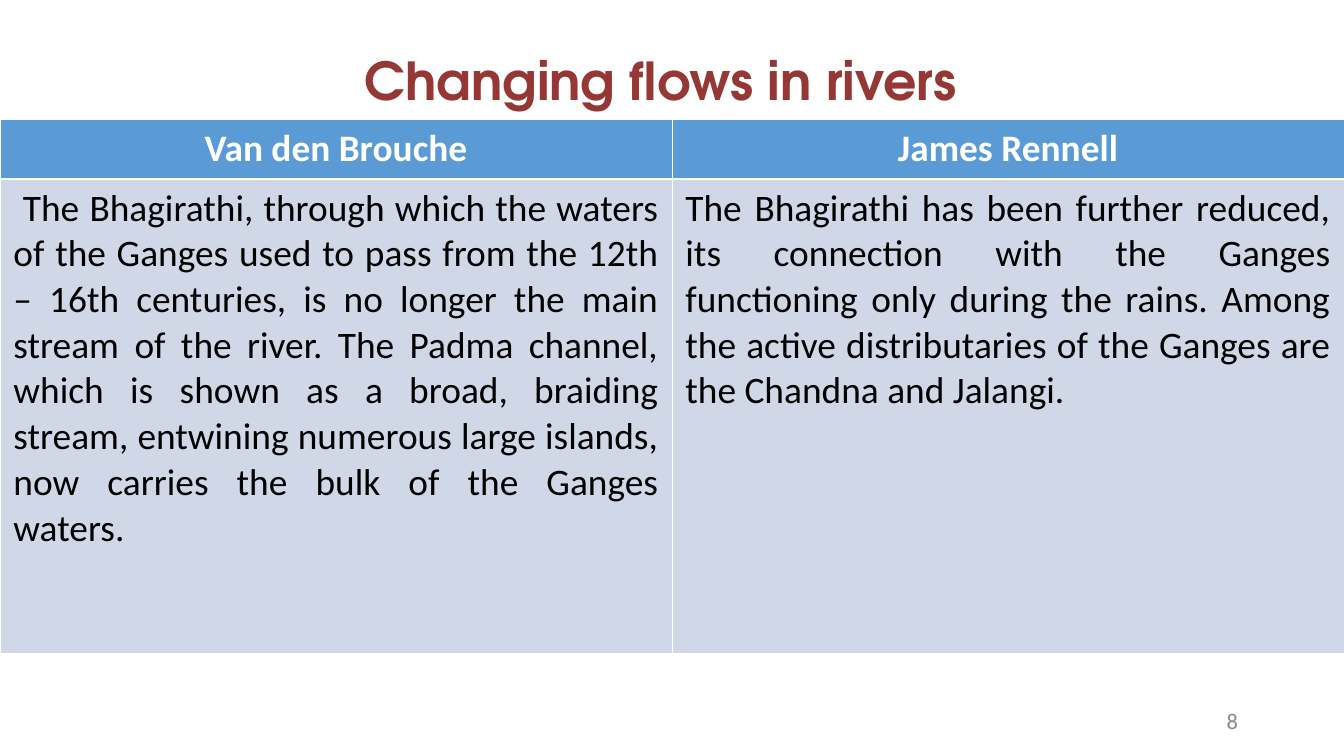
from lxml import etree
from pptx import Presentation
from pptx.dml.color import RGBColor
from pptx.enum.text import MSO_ANCHOR, PP_ALIGN
from pptx.oxml.ns import qn
from pptx.util import Inches, Pt

CENTER, RIGHT, JUSTIFY = PP_ALIGN.CENTER, PP_ALIGN.RIGHT, PP_ALIGN.JUSTIFY
TOP, MIDDLE = MSO_ANCHOR.TOP, MSO_ANCHOR.MIDDLE
MAROON = RGBColor(0x95, 0x37, 0x35)
BLUE = RGBColor(0x5B, 0x9B, 0xD5)
PALE_BLUE = RGBColor(0xD0, 0xD8, 0xE8)
GREY = RGBColor(0x89, 0x89, 0x89)
WHITE = RGBColor(0xFF, 0xFF, 0xFF)
BLACK = RGBColor(0x00, 0x00, 0x00)

TITLE_FONT = {"name": "TeX Gyre Adventor", "size": Pt(28), "bold": True}
HEADER_FONT = {"name": "Calibri", "size": Pt(20), "bold": True}
BODY_FONT = {"name": "Calibri", "size": Pt(20), "bold": False}
NUMBER_FONT = {"name": "Calibri", "size": Pt(12), "bold": False}
THIN, THICK = Pt(0.45), Pt(1.47)

ACCOUNTS = {
    "Van den Brouche": (
        "The Bhagirathi, through which the waters of the Ganges used to pass "
        "from the 12th – 16th centuries, is no longer the main stream of the "
        "river. The Padma channel, which is shown as a broad, braiding stream, "
        "entwining numerous large islands, now carries the bulk of the Ganges "
        "waters."
    ),
    "James Rennell": (
        "The Bhagirathi has been further reduced, its connection with the "
        "Ganges functioning only during the rains. Among the active "
        "distributaries of the Ganges are the Chandna and Jalangi."
    ),
}


def write_text(frame, text, font_format, color, alignment):
    frame.text = text
    paragraph = frame.paragraphs[0]
    paragraph.alignment = alignment
    font = paragraph.runs[0].font
    for attribute, value in font_format.items():
        setattr(font, attribute, value)
    font.color.rgb = color


def add_title(slide, text):
    title = slide.shapes.title
    title.left, title.top = Inches(0.33), Inches(0.31)
    title.width, title.height = Inches(9.17), Inches(1.54)
    title.text_frame.vertical_anchor = TOP
    write_text(title.text_frame, text, TITLE_FONT, MAROON, CENTER)


def add_page_number(slide, text):
    number = slide.shapes.add_textbox(
        Inches(7.06), Inches(5.21), Inches(2.25), Inches(0.3)
    )
    number.text_frame.word_wrap = True
    number.text_frame.vertical_anchor = MIDDLE
    write_text(number.text_frame, text, NUMBER_FONT, GREY, RIGHT)


def style_cell(cell, fill_color, top_width, bottom_width):
    properties = cell._tc.get_or_add_tcPr()
    widths = {"lnL": THIN, "lnR": THIN, "lnT": top_width, "lnB": bottom_width}
    for side, width in widths.items():
        border = etree.SubElement(properties, qn(f"a:{side}"), w=str(int(width)))
        border_fill = etree.SubElement(border, qn("a:solidFill"))
        etree.SubElement(border_fill, qn("a:srgbClr"), val=str(WHITE))
    cell.fill.solid()
    cell.fill.fore_color.rgb = fill_color


def add_accounts_table(slide, accounts):
    table = slide.shapes.add_table(
        2, len(accounts), Inches(0), Inches(0.89), Inches(10), Inches(3.97)
    ).table
    table.rows[0].height = Inches(0.44)
    table.rows[1].height = Inches(3.53)
    for column, (author, account) in enumerate(accounts.items()):
        header, body = table.cell(0, column), table.cell(1, column)
        style_cell(header, BLUE, THIN, THICK)
        style_cell(body, PALE_BLUE, THICK, THIN)
        write_text(header.text_frame, author, HEADER_FONT, WHITE, CENTER)
        write_text(body.text_frame, account, BODY_FONT, BLACK, JUSTIFY)
    first_account = table.cell(1, 0).text_frame.paragraphs[0]
    first_account._p.get_or_add_pPr().set("indent", str(Inches(0.07)))


def main():
    presentation = Presentation()
    presentation.slide_width = Inches(10)
    presentation.slide_height = Inches(10) * 9 // 16
    slide = presentation.slides.add_slide(presentation.slide_layouts[5])
    add_page_number(slide, "8")
    add_title(slide, "Changing flows in rivers")
    add_accounts_table(slide, ACCOUNTS)
    presentation.save("out.pptx")


if __name__ == "__main__":
    main()
